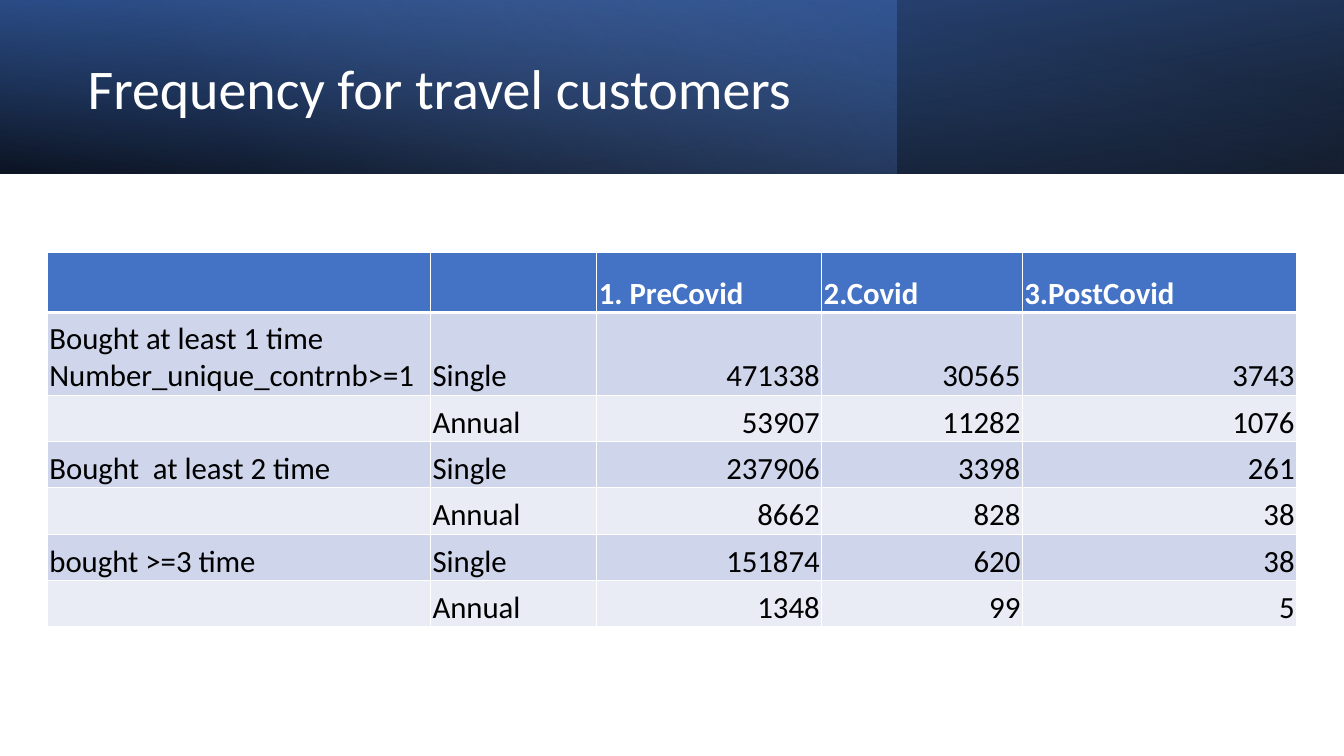
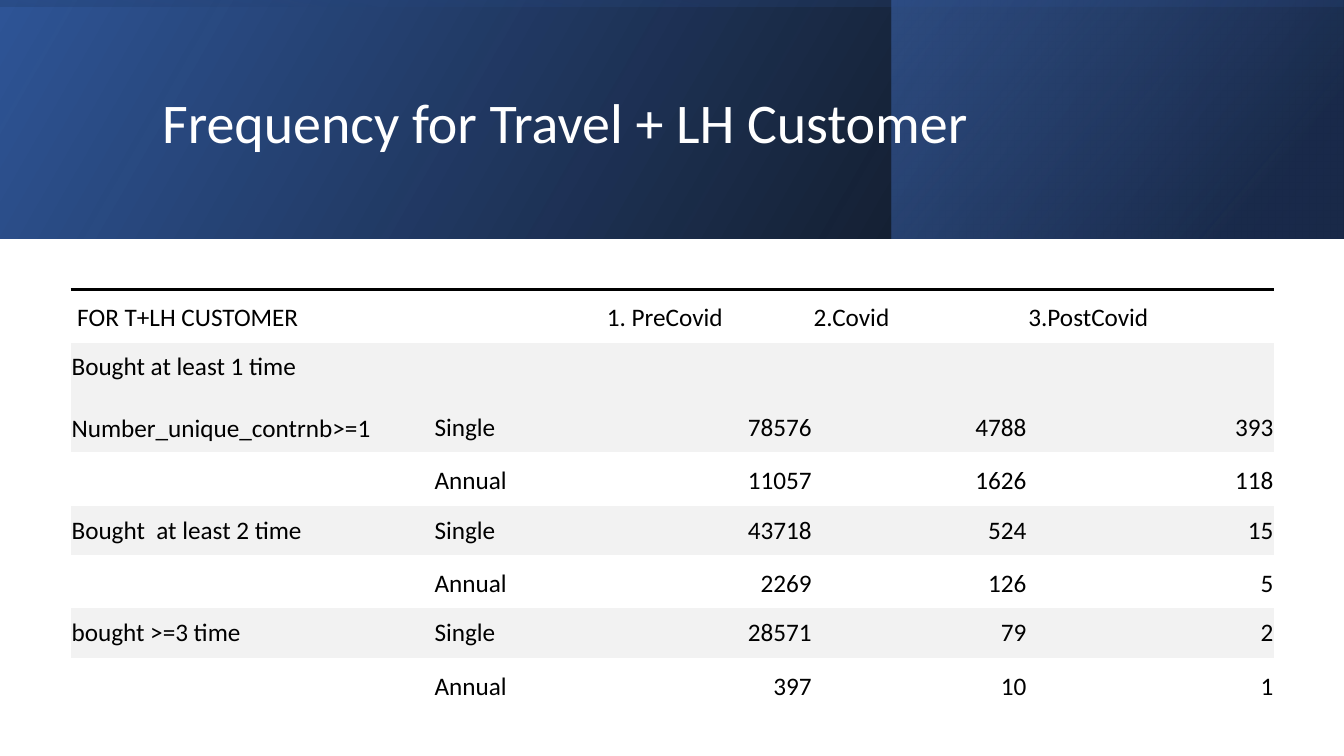
import lxml.etree
import pptx
import pptx.dml.color
import pptx.enum.shapes
import pptx.enum.text
import pptx.oxml.ns
import pptx.util

Inches = pptx.util.Inches
SLIDE_WIDTH, SLIDE_HEIGHT = 13.33, 7.5
PERIODS = ["1. PreCovid", "2.Covid", "3.PostCovid"]
GROUPS = ["Bought at least 1 time\nNumber_unique_contrnb>=1", "Bought  at least 2 time", "bought >=3 time"]
CONTRACTS = ["Single", "Annual"]
PLAIN_TABLE_STYLE = "{2D5ABB26-0587-4C30-8999-92F81FD0307C}"


def color(value):
    return pptx.dml.color.RGBColor.from_string(value)


def add_element(parent, tag, **attributes):
    return lxml.etree.SubElement(parent, pptx.oxml.ns.qn(tag), attributes)


def frequency_rows(corner, counts):
    """Header row, then one row for each purchase group and contract."""
    rows = [[corner, ""] + PERIODS]
    for index, numbers in enumerate(counts):
        group, contract = divmod(index, len(CONTRACTS))
        label = GROUPS[group] if contract == 0 else ""
        rows.append([label, CONTRACTS[contract]] + [str(number) for number in numbers])
    return rows


class Deck:
    font = "Calibri"
    title_size = 40
    white, black = "FFFFFF", "000000"

    def __init__(self):
        self.presentation = pptx.Presentation()
        self.presentation.slide_width = Inches(SLIDE_WIDTH)
        self.presentation.slide_height = Inches(SLIDE_HEIGHT)
        self.slide = None

    def new_slide(self):
        self.slide = self.presentation.slides.add_slide(self.presentation.slide_layouts[6])

    def style_paragraph(self, paragraph, size, text_color, bold=False):
        paragraph.font.name = self.font
        paragraph.font.size = pptx.util.Pt(size)
        paragraph.font.bold = bold
        paragraph.font.color.rgb = color(text_color)

    def band(self, left, top, width, height, angle, stops, rotation=0, flip=True):
        """Gradient rectangle; each stop is (position, colour, opacity) in percent."""
        shape = self.slide.shapes.add_shape(
            pptx.enum.shapes.MSO_SHAPE.RECTANGLE,
            Inches(left), Inches(top), Inches(width), Inches(height))
        shape.shadow.inherit = False
        shape.line.fill.background()
        shape.rotation = rotation
        if flip:
            shape._element.spPr.xfrm.set("flipH", "1")
        shape.fill.gradient()
        shape.fill.gradient_angle = 360 - angle
        for stop, (position, stop_color, _) in zip(shape.fill.gradient_stops, stops):
            stop.position = position / 100
            stop.color.rgb = color(stop_color)
        for element, (_, _, opacity) in zip(shape._element.spPr.xpath(".//a:gs/a:srgbClr"), stops):
            add_element(element, "a:alpha", val=str(opacity * 1000))

    def title(self, text, left, top, width, height):
        frame = self.slide.shapes.add_textbox(
            Inches(left), Inches(top), Inches(width), Inches(height)).text_frame
        frame.word_wrap = True
        frame.vertical_anchor = pptx.enum.text.MSO_ANCHOR.MIDDLE
        paragraph = frame.paragraphs[0]
        paragraph.text = text
        paragraph.line_spacing = 0.9
        self.style_paragraph(paragraph, self.title_size, self.white)

    def cell_borders(self, cell, borders):
        """Borders map a side (L, R, T, B) to (colour, points)."""
        properties = cell._tc.get_or_add_tcPr()
        for side in "LRTB":
            if side in borders:
                line_color, points = borders[side]
                line = add_element(properties, f"a:ln{side}", w=str(pptx.util.Pt(points)))
                fill = add_element(line, "a:solidFill")
                add_element(fill, "a:srgbClr", val=line_color)

    def table(self, left, top, widths, heights, rows, size, margins, header_color,
              fills, borders, line_gap=0, header_bold=False):
        """Fills are the header, odd-row and even-row colours; None is empty."""
        table = self.slide.shapes.add_table(
            len(rows), len(widths), Inches(left), Inches(top),
            Inches(sum(widths)), Inches(sum(heights))).table
        table.first_row = table.horz_banding = False
        table._tbl.tblPr.find(pptx.oxml.ns.qn("a:tableStyleId")).text = PLAIN_TABLE_STYLE
        for column, width in zip(table.columns, widths):
            column.width = Inches(width)
        for row, height in zip(table.rows, heights):
            row.height = Inches(height)

        for row_index, values in enumerate(rows):
            header = row_index == 0
            fill_color = fills[0] if header else fills[2 - row_index % 2]
            for column_index, value in enumerate(values):
                cell = table.cell(row_index, column_index)
                cell.vertical_anchor = pptx.enum.text.MSO_ANCHOR.BOTTOM
                (cell.margin_left, cell.margin_top,
                 cell.margin_right, cell.margin_bottom) = [Inches(margin) for margin in margins]
                self.cell_borders(cell, borders(row_index))
                if fill_color:
                    cell.fill.solid()
                    cell.fill.fore_color.rgb = color(fill_color)
                else:
                    cell.fill.background()
                cell.text = value
                for line_index, paragraph in enumerate(cell.text_frame.paragraphs):
                    if line_index and line_gap:
                        paragraph.space_before = pptx.util.Pt(line_gap)
                    if not header and column_index >= 2:
                        paragraph.alignment = pptx.enum.text.PP_ALIGN.RIGHT
                    self.style_paragraph(paragraph, size, header_color if header else self.black,
                                         header and header_bold)


def grid_borders(row_index):
    borders = dict.fromkeys("LRTB", (Deck.white, 1))
    if row_index < 2:
        borders["B" if row_index == 0 else "T"] = (Deck.white, 3)
    return borders


def top_rule(row_index):
    return {"T": (Deck.black, 2.25)} if row_index == 0 else {}


def main():
    deck = Deck()
    base_stops = [(0, "000000", 96), (100, "2F5597", 100)]

    # Travel customers
    deck.new_slide()
    band_height = 1.72
    deck.band(0, 0, SLIDE_WIDTH, band_height, 100, base_stops, rotation=180)
    deck.band(0, 0, 8.89, band_height, 140, [(0, "4472C4", 41), (74, "8FAADC", 0)], flip=False)
    deck.band(0, 0, SLIDE_WIDTH, band_height, 260, [(0, "000000", 63), (78, "4472C4", 15)])
    deck.title("Frequency for travel customers", 0.77, 0.27, 7.72, 1.27)
    travel_counts = [
        (471338, 30565, 3743), (53907, 11282, 1076),
        (237906, 3398, 261), (8662, 828, 38),
        (151874, 620, 38), (1348, 99, 5),
    ]
    deck.table(0.47, 2.5, [3.8, 1.65, 2.23, 1.99, 2.72], [0.6, 0.82] + [0.46] * 5,
               frequency_rows("", travel_counts), size=22, margins=(0.02, 0.02, 0.02, 0),
               header_color=Deck.white, fills=("4472C4", "CFD5EA", "E9EBF5"),
               borders=grid_borders, header_bold=True)

    # Travel + LH customers
    deck.new_slide()
    band_height = 2.37
    deck.band(0, 0, SLIDE_WIDTH, band_height, 330, base_stops)
    deck.band(8.84, 0, 4.48, band_height, 320, [(19, "203864", 68), (100, "4472C4", 48)])
    offset = (SLIDE_WIDTH - band_height) / 2
    deck.band(offset, -offset, band_height, SLIDE_WIDTH, 350,
              [(23, "2F5597", 16), (99, "000000", 45)], rotation=270)
    deck.title("Frequency for Travel + LH Customer", 1.51, 0.38, 10.63, 1.72)
    combined_counts = [
        (78576, 4788, 393), (11057, 1626, 118),
        (43718, 524, 15), (2269, 126, 5),
        (28571, 79, 2), (397, 10, 1),
    ]
    deck.table(0.7, 2.87, [3.6, 1.71, 2.05, 2.13, 2.45], [0.53, 0.97] + [0.53, 0.49] * 2 + [0.53],
               frequency_rows(" FOR T+LH CUSTOMER", combined_counts), size=18,
               margins=(0.01, 0.09, 0.01, 0.09), header_color=Deck.black,
               fills=(None, "F2F2F2", None), borders=top_rule, line_gap=22)

    deck.presentation.save("out.pptx")


if __name__ == "__main__":
    main()
